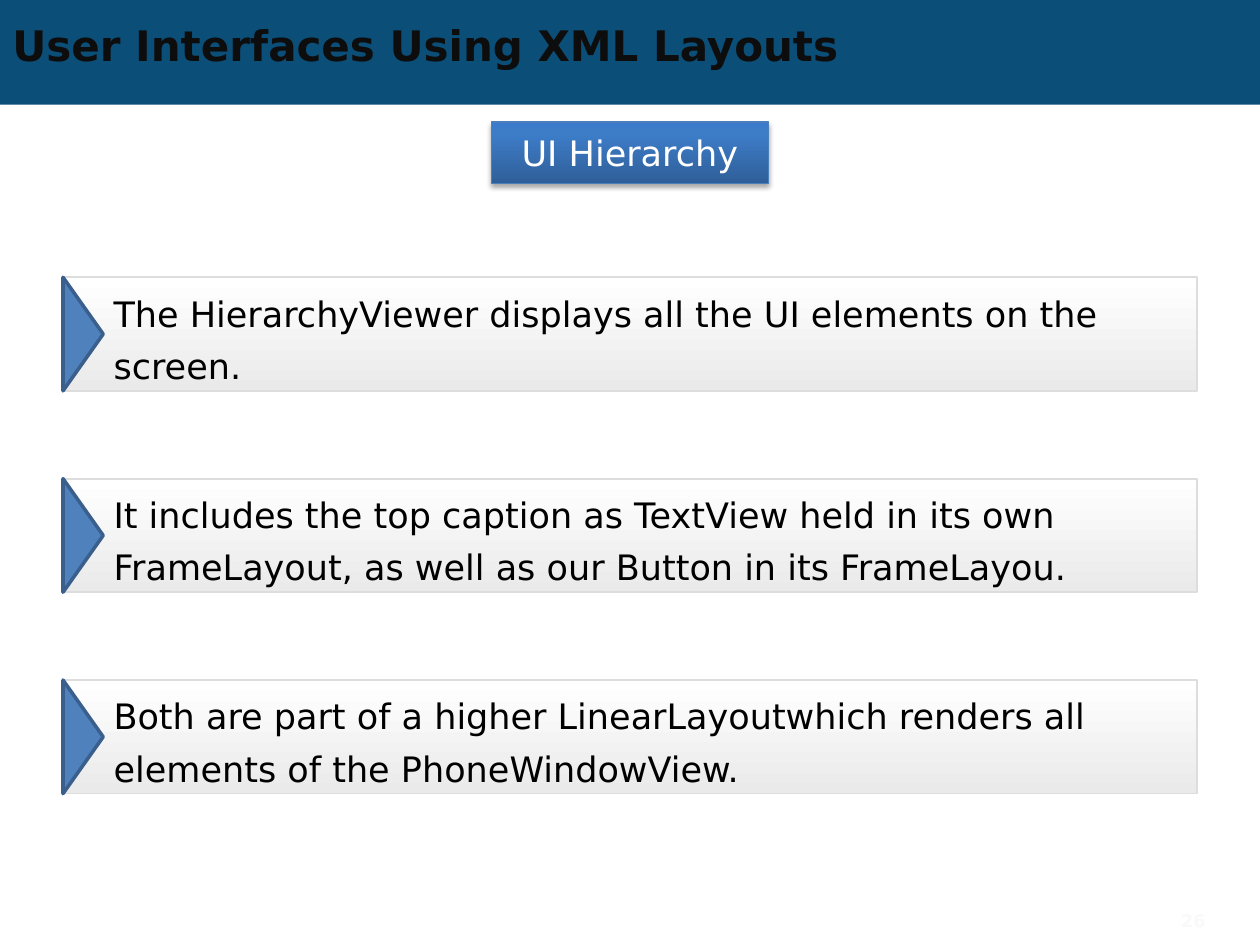
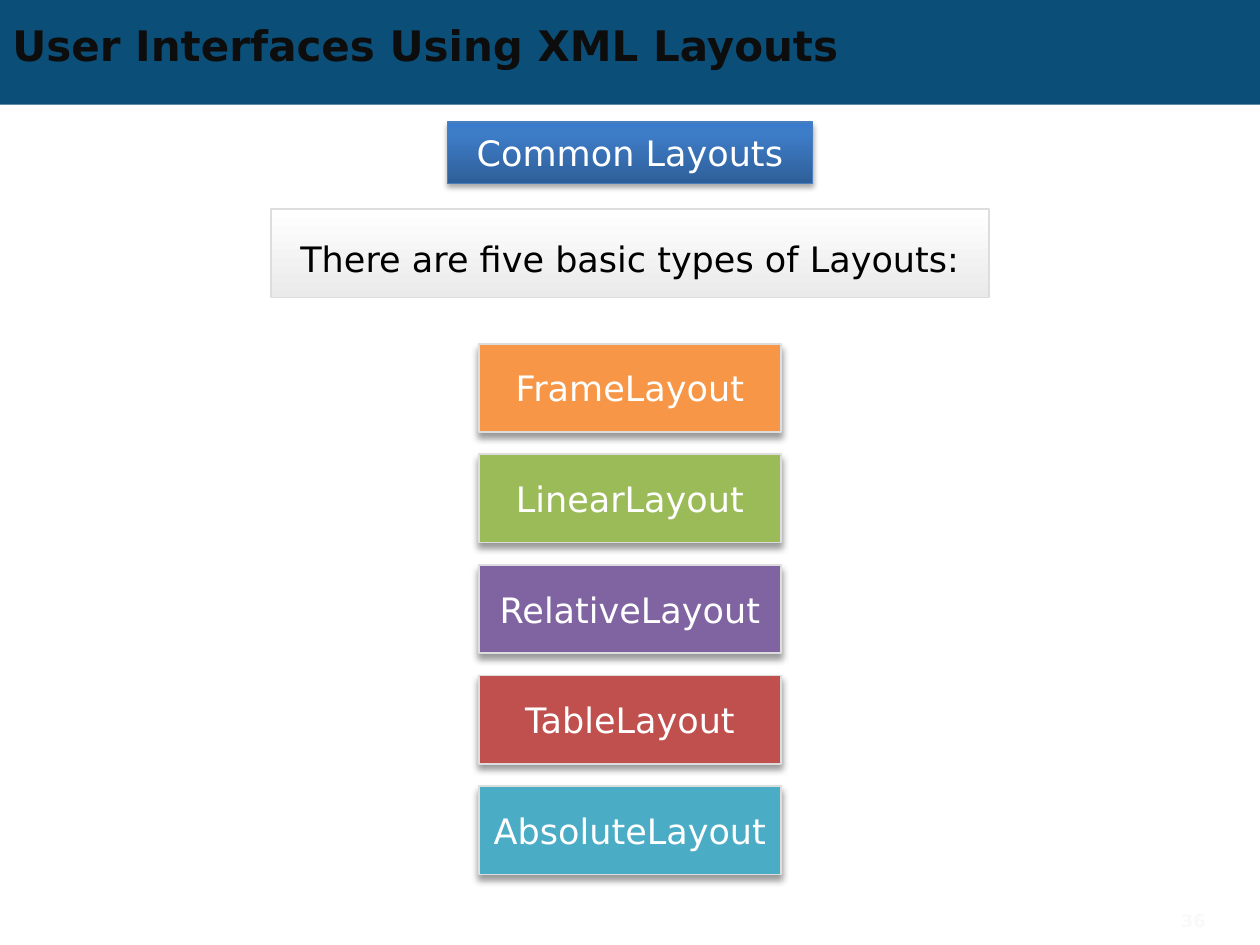
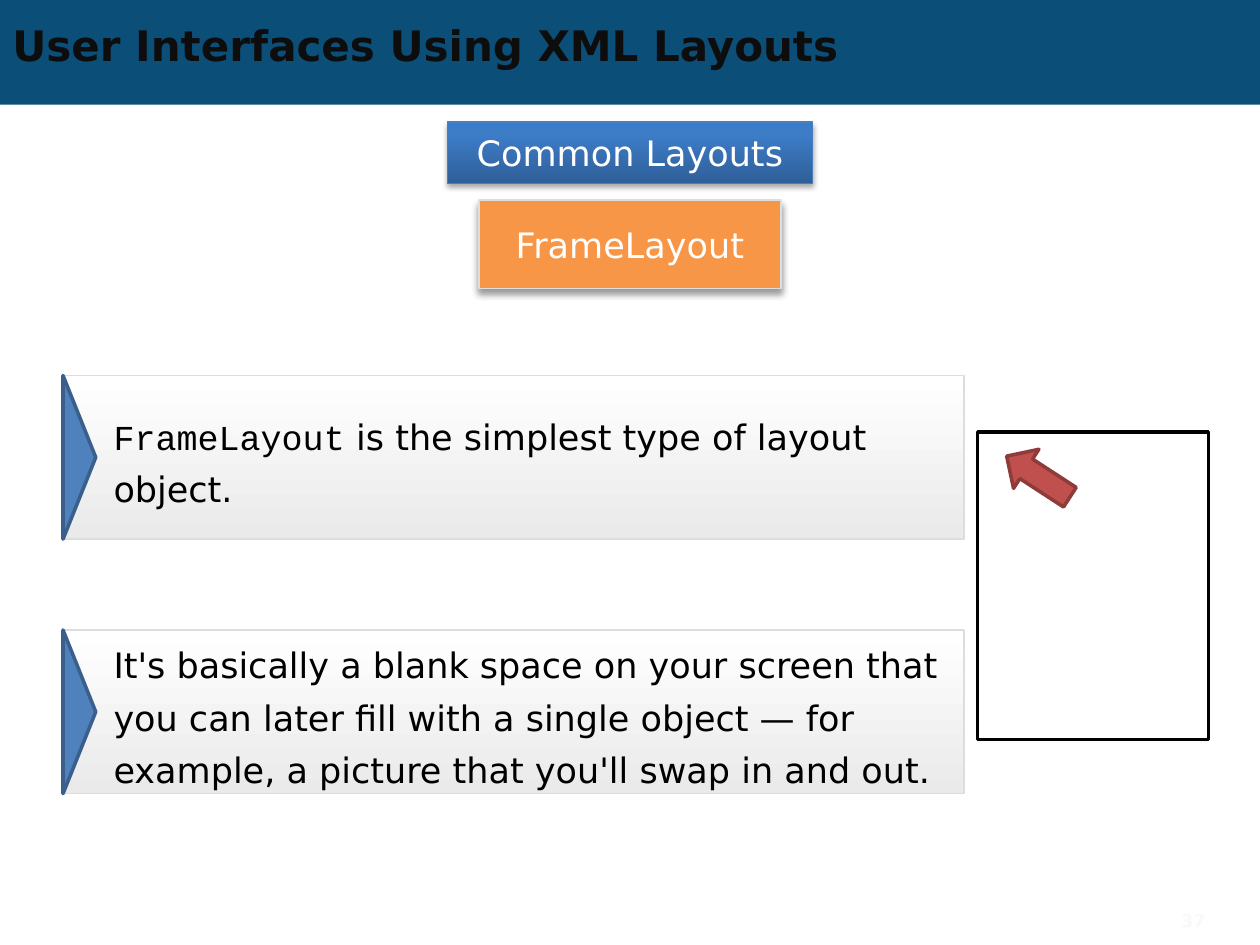
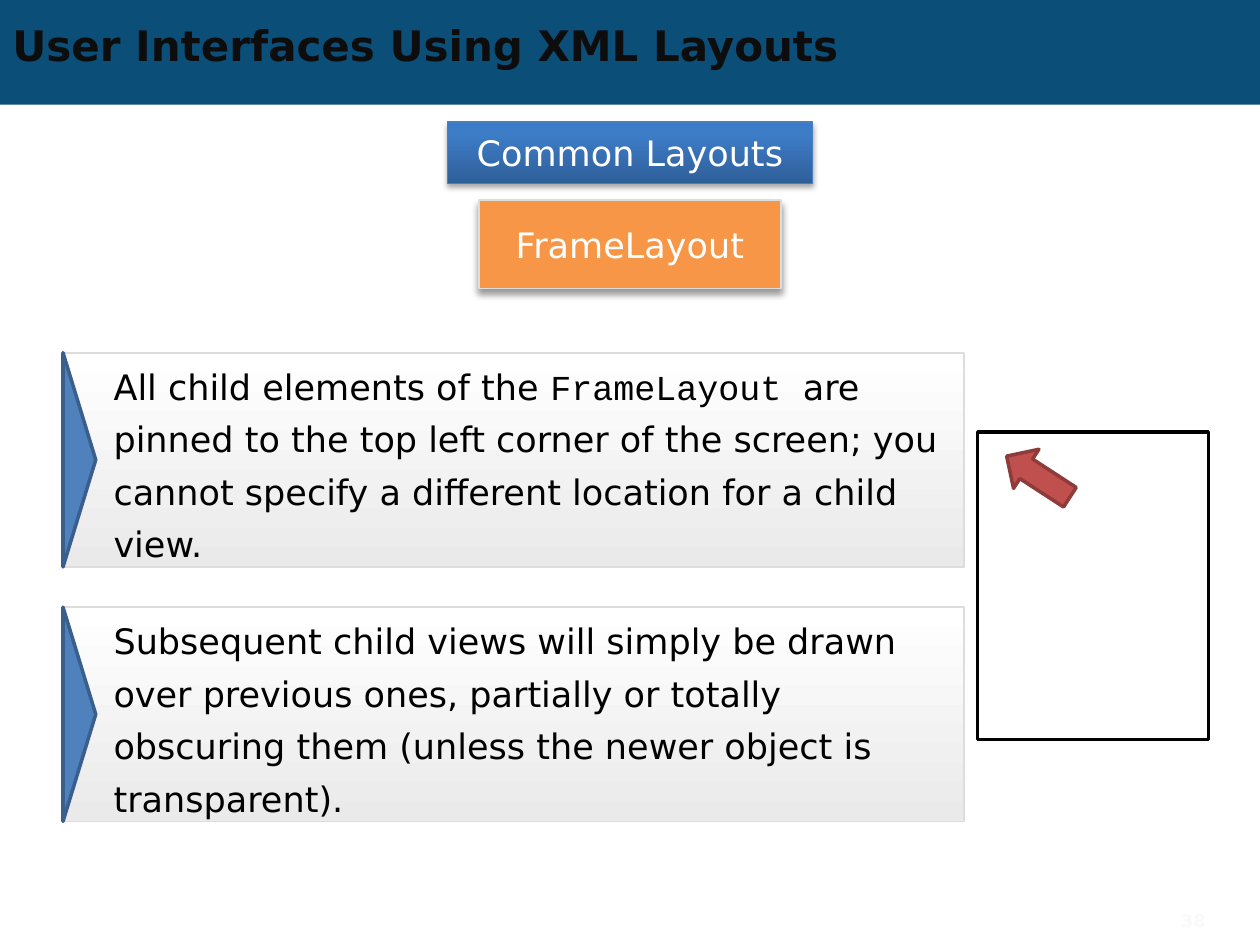
import copy

import pptx
import pptx.dml.color
import pptx.enum.shapes
import pptx.enum.text
import pptx.oxml
import pptx.oxml.ns
import pptx.util

Cm = pptx.util.Cm
Pt = pptx.util.Pt
RGBColor = pptx.dml.color.RGBColor
Preset = pptx.enum.shapes.MSO_SHAPE
Align = pptx.enum.text.PP_ALIGN
qn = pptx.oxml.ns.qn

BLACK = RGBColor(0x00, 0x00, 0x00)
WHITE = RGBColor(0xFF, 0xFF, 0xFF)
BAND_BLUE = RGBColor(0x0B, 0x4E, 0x78)
TITLE_INK = RGBColor(0x0D, 0x0D, 0x0D)
NUMBER_GREY = RGBColor(0xF9, 0xF9, 0xF9)
HEADING_DARK = RGBColor(0x2F, 0x5F, 0x99)
HEADING_MID = RGBColor(0x3D, 0x7C, 0xC7)
HEADING_LIGHT = RGBColor(0x3A, 0x7C, 0xCB)
HEADING_EDGE = RGBColor(0x4B, 0x7E, 0xBC)
CARD_GREY = RGBColor(0xEA, 0xEA, 0xEA)
CARD_EDGE = RGBColor(0xDD, 0xDD, 0xDD)
MARKER_BLUE = RGBColor(0x4F, 0x81, 0xBD)
MARKER_EDGE = RGBColor(0x3A, 0x5F, 0x8C)
ORANGE = RGBColor(0xF7, 0x96, 0x46)
GREEN = RGBColor(0x9B, 0xBB, 0x59)
PURPLE = RGBColor(0x80, 0x64, 0xA2)
RED = RGBColor(0xC0, 0x50, 0x4D)
RED_EDGE = RGBColor(0x8E, 0x3B, 0x39)
TEAL = RGBColor(0x4B, 0xAC, 0xC6)

SANS = "DejaVu Sans"
MONO = "Courier New"
TITLE = "User Interfaces Using XML Layouts"
SLIDE_WIDTH = 25.4
CARD_LEFT = 1.27
CHIP_WIDTH, CHIP_HEIGHT, CHIP_STEP = 6.1, 1.78, 2.23

# Gradients: angle, then (position, colour) stops
HEADING_FILL = (90, [(0, HEADING_DARK), (0.8, HEADING_MID), (1, HEADING_LIGHT)])
CARD_FILL = (270, [(0, WHITE), (1, CARD_GREY)])
# Shadows: blur, distance (points) and opacity (percent)
HEADING_SHADOW = (3.1, 1.8, 35)
CHIP_SHADOW = (4, 3, 40)


def add_box(shapes, preset, box, fill, edge=None, edge_width=1, shadow=None):
    """Add a preset shape; box is left, top, width, height in centimetres."""
    shape = shapes.add_shape(preset, *[Cm(length) for length in box])
    shape.shadow.inherit = False
    if isinstance(fill, RGBColor):
        shape.fill.solid()
        shape.fill.fore_color.rgb = fill
    else:
        angle, stops = fill
        shape.fill.gradient()
        shape.fill.gradient_angle = angle
        stop_list = shape._element.spPr.find(".//" + qn("a:gsLst"))
        while len(stop_list) < len(stops):
            stop_list.append(copy.deepcopy(stop_list[0]))
        for stop, (position, color) in zip(shape.fill.gradient_stops, stops):
            stop.position = position
            stop.color.rgb = color
    if edge is None:
        shape.line.fill.background()
    else:
        shape.line.color.rgb = edge
        shape.line.width = Pt(edge_width)
    if shadow:
        blur, distance, opacity = shadow
        shape._element.spPr.find(qn("a:effectLst")).append(pptx.oxml.parse_xml(
            f'<a:outerShdw {pptx.oxml.ns.nsdecls("a")} blurRad="{Pt(blur)}" '
            f'dist="{Pt(distance)}" dir="5400000" rotWithShape="0">'
            f'<a:srgbClr val="{BLACK}"><a:alpha val="{opacity * 1000}"/>'
            '</a:srgbClr></a:outerShdw>'))
    return shape


def write(shape, runs, color, size=20, bold=False, align=Align.CENTER,
          spacing=None, margins=None):
    """Fill a shape with one paragraph; runs holds (text, font) pairs."""
    frame = shape.text_frame
    frame.word_wrap = True
    frame.vertical_anchor = pptx.enum.text.MSO_ANCHOR.MIDDLE
    if margins:
        frame.margin_left, frame.margin_right = Cm(margins[0]), Cm(margins[1])
        frame.margin_top = frame.margin_bottom = 0
    paragraph = frame.paragraphs[0]
    paragraph.alignment = align
    if spacing:
        paragraph.line_spacing = Pt(spacing)
    for text, font in runs:
        run = paragraph.add_run()
        run.text = text
        run.font.name = font
        run.font.size = Pt(size)
        run.font.bold = bold
        run.font.color.rgb = color


FRAME_CHIP = ("FrameLayout", ORANGE)
COMMON = {"heading": "Common Layouts", "heading_width": 7.37}
FRAME_PAGE = {**COMMON, "chips": [FRAME_CHIP], "chip_top": 4.04, "screen": True,
              "card_width": 18.16, "card_step": 5.13, "marker_depth": 0.66}
PAGES = [
    {"number": 26, "heading": "UI Hierarchy", "heading_width": 5.59,
     "card_top": 5.59, "card_width": 22.86, "card_height": 2.29,
     "card_step": 4.06, "marker_depth": 0.81,
     "cards": [
         [("The HierarchyViewer displays all the UI elements on the screen.", SANS)],
         [("It includes the top caption as TextView held in its own FrameLayout, "
           "as well as our Button in its FrameLayou.", SANS)],
         [("Both are part of a higher LinearLayoutwhich renders all elements "
           "of the PhoneWindowView.", SANS)],
     ]},
    {**COMMON, "number": 36, "intro": "There are five basic types of Layouts:",
     "chip_top": 6.93,
     "chips": [FRAME_CHIP, ("LinearLayout", GREEN), ("RelativeLayout", PURPLE),
               ("TableLayout", RED), ("AbsoluteLayout", TEAL)]},
    {**FRAME_PAGE, "number": 37, "card_top": 7.57, "card_height": 3.3,
     "cards": [
         [("FrameLayout", MONO), (" is the simplest type of layout object.", SANS)],
         [("It's basically a blank space on your screen that you can later fill "
           "with a single object — for example, a picture that you'll swap in "
           "and out.", SANS)],
     ]},
    {**FRAME_PAGE, "number": 38, "card_top": 7.11, "card_height": 4.32,
     "cards": [
         [("All child elements of the ", SANS), ("FrameLayout ", MONO),
          ("are pinned to the top left corner of the screen; you cannot specify "
           "a different location for a child view.", SANS)],
         [("Subsequent child views will simply be drawn over previous ones, "
           "partially or totally obscuring them (unless the newer object is "
           "transparent).", SANS)],
     ]},
]

presentation = pptx.Presentation()
presentation.slide_width = Cm(SLIDE_WIDTH)
presentation.slide_height = Cm(19.05)

for page in PAGES:
    slide = presentation.slides.add_slide(presentation.slide_layouts[6])

    # Band, title, slide number and heading
    add_box(slide.shapes, Preset.RECTANGLE, (0, 0, SLIDE_WIDTH, 2.11), BAND_BLUE)
    title = slide.shapes.add_textbox(Cm(0), Cm(0.36), Cm(22.86), Cm(1.09))
    write(title, [(TITLE, SANS)], TITLE_INK, 24, bold=True, align=Align.LEFT)
    number = slide.shapes.add_textbox(Cm(22.55), Cm(18.2), Cm(2), Cm(0.7))
    write(number, [(str(page["number"]), SANS)], NUMBER_GREY, 10, bold=True,
          align=Align.RIGHT)
    heading_left = (SLIDE_WIDTH - page["heading_width"]) / 2
    heading = add_box(slide.shapes, Preset.RECTANGLE,
                      (heading_left, 2.46, page["heading_width"], 1.24),
                      HEADING_FILL, HEADING_EDGE, 0.75, HEADING_SHADOW)
    write(heading, [(page["heading"], SANS)], WHITE)

    # Layout names
    for index, (name, color) in enumerate(page.get("chips", [])):
        chip_box = ((SLIDE_WIDTH - CHIP_WIDTH) / 2,
                    page["chip_top"] + index * CHIP_STEP, CHIP_WIDTH, CHIP_HEIGHT)
        chip = add_box(slide.shapes, Preset.RECTANGLE, chip_box, color, CARD_EDGE,
                       shadow=CHIP_SHADOW)
        write(chip, [(name, SANS)], WHITE, margins=(0, 0))

    if "intro" in page:
        intro = add_box(slide.shapes, Preset.RECTANGLE, (5.46, 4.22, 14.48, 1.78),
                        CARD_FILL, CARD_EDGE)
        write(intro, [(page["intro"], SANS)], BLACK, spacing=30)

    # Device screen with an arrow to its top left corner
    if "screen" in page:
        group = slide.shapes.add_group_shape()
        add_box(group.shapes, Preset.RECTANGLE, (19.71, 8.71, 4.65, 6.2),
                WHITE, BLACK, 2)
        arrow = add_box(group.shapes, Preset.LEFT_ARROW, (20.17, 9.14, 1.52, 0.94),
                        RED, RED_EDGE, 2)
        arrow.rotation = 33

    # Text cards, each with a marker turned to point right
    for index, runs in enumerate(page.get("cards", [])):
        top = page["card_top"] + index * page["card_step"]
        height, depth = page["card_height"], page["marker_depth"]
        group = slide.shapes.add_group_shape()
        card = add_box(group.shapes, Preset.RECTANGLE,
                       (CARD_LEFT, top, page["card_width"], height),
                       CARD_FILL, CARD_EDGE)
        write(card, runs, BLACK, align=Align.LEFT, spacing=30, margins=(1.02, 0.25))
        marker_box = (CARD_LEFT + (depth - height) / 2, top + (height - depth) / 2,
                      height, depth)
        marker = add_box(group.shapes, Preset.ISOSCELES_TRIANGLE, marker_box,
                         MARKER_BLUE, MARKER_EDGE, 2)
        marker.rotation = 90

presentation.save("out.pptx")
